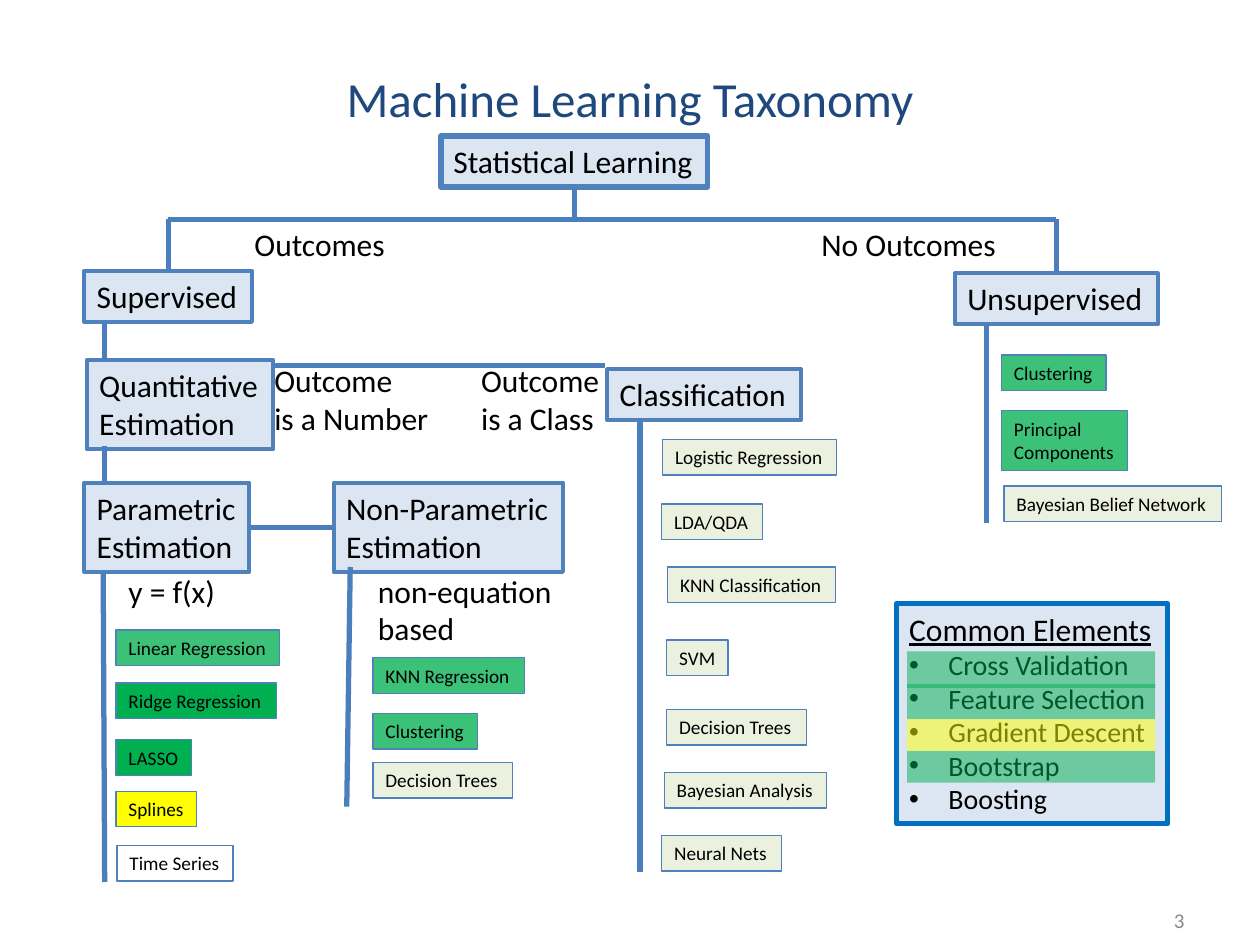
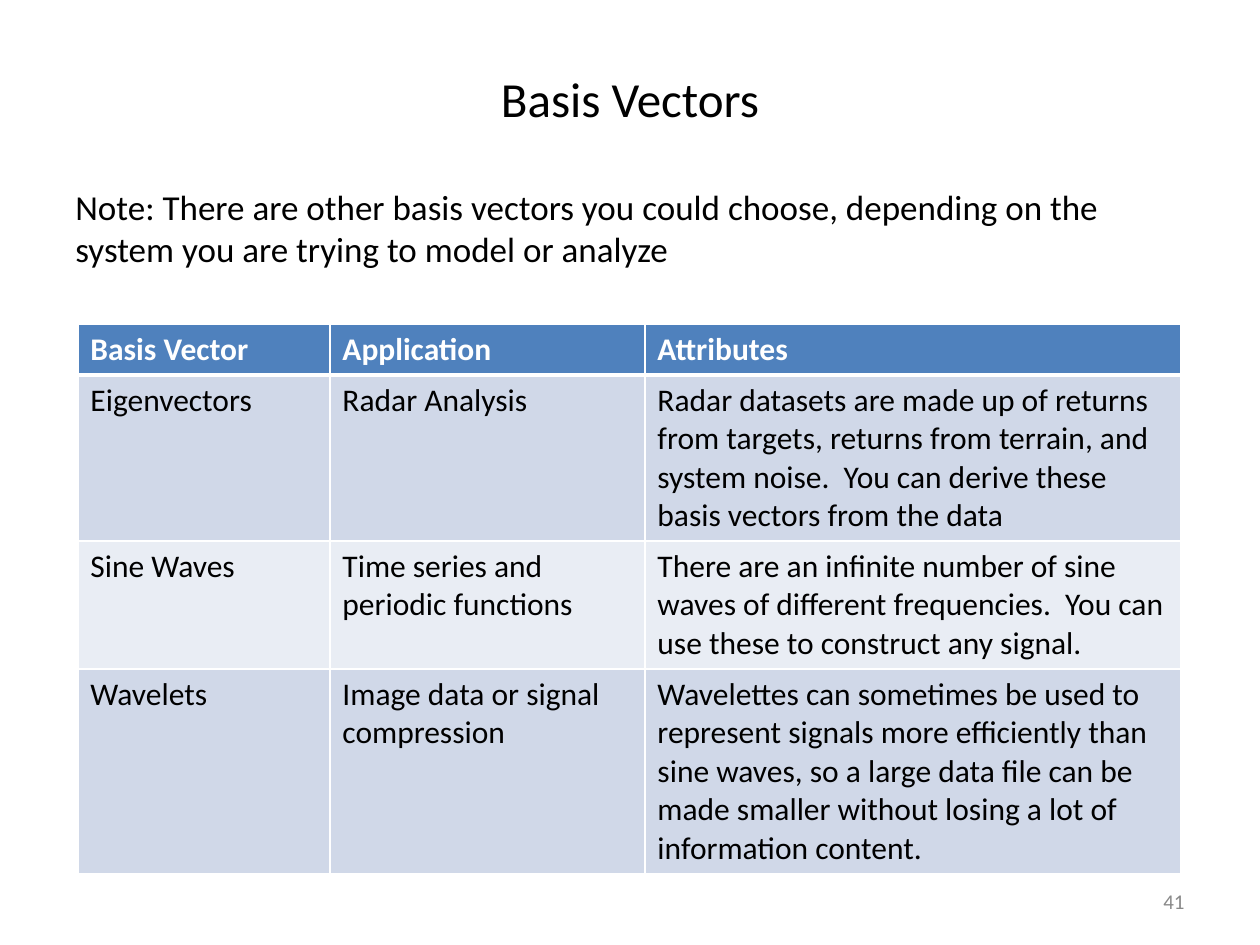
import pptx
import pptx.dml.color
import pptx.enum.shapes
import pptx.enum.text
import pptx.oxml
import pptx.oxml.ns
import pptx.util
from lxml import etree
from pptx.util import Cm, Pt

FONT = "Calibri"
BLACK = "000000"
WHITE = "FFFFFF"
NAVY = "1F497D"
GRAY = "898989"
BLUE = "4F81BD"
BRANCH_BLUE = "4B7EBC"
FRAME_BLUE = "0070C0"
PALE_BLUE = "DCE6F2"
PALE_GREEN = "EBF1DE"
GREEN = "00B050"
YELLOW = "FFFF00"
ROW_DARK = "D0D8E8"
ROW_LIGHT = "E9EDF4"

MIDDLE = pptx.enum.text.MSO_ANCHOR.MIDDLE
TOP = pptx.enum.text.MSO_ANCHOR.TOP
LEFT = pptx.enum.text.PP_ALIGN.LEFT
CENTER = pptx.enum.text.PP_ALIGN.CENTER
RIGHT = pptx.enum.text.PP_ALIGN.RIGHT
FIT_TEXT = pptx.enum.text.MSO_AUTO_SIZE.SHAPE_TO_FIT_TEXT

# Left, top, width in cm, and text
GROUPS = {
    "statistical": (8.89, 2.74, 5.38, "Statistical Learning"),
    "supervised": (1.7, 5.46, 3.38, "Supervised"),
    "unsupervised": (19.25, 5.51, 4.09, "Unsupervised"),
    "quantitative": (1.75, 7.26, 3.76, "Quantitative\nEstimation"),
    "classification": (12.24, 7.44, 3.91, "Classification"),
    "parametric": (1.7, 9.73, 3.33, "Parametric\nEstimation"),
    "non_parametric": (6.73, 9.73, 4.62, "Non-Parametric\nEstimation"),
}
LABELS = [
    (4.88, 4.42, 3.18, "Outcomes"),
    (16.31, 4.42, 4.06, "No Outcomes"),
    (5.28, 7.16, 3.66, "Outcome\nis a Number"),
    (9.45, 7.16, 2.92, "Outcome\nis a Class"),
    (2.34, 11.4, 2.29, "y = f(x)"),
    (7.37, 11.4, 4.06, "non-equation\nbased"),
]
# Left, top, width in cm, text, fill, opacity in percent
METHODS = [
    (2.34, 12.7, 3.3, "Linear Regression", GREEN, 77),
    (2.34, 13.77, 3.23, "Ridge Regression", GREEN, 100),
    (2.34, 14.91, 1.52, "LASSO", GREEN, 100),
    (2.34, 15.95, 1.63, "Splines", YELLOW, 100),
    (2.36, 17.04, 2.34, "Time Series", None, 100),
    (7.52, 13.26, 3.05, "KNN Regression", GREEN, 77),
    (7.52, 14.38, 2.11, "Clustering", GREEN, 77),
    (7.52, 15.37, 2.82, "Decision Trees", PALE_GREEN, 100),
    (13.36, 8.86, 3.51, "Logistic Regression", PALE_GREEN, 100),
    (13.34, 10.16, 2.03, "LDA/QDA", PALE_GREEN, 100),
    (13.46, 11.43, 3.38, "KNN Classification", PALE_GREEN, 100),
    (13.44, 12.9, 1.24, "SVM", PALE_GREEN, 100),
    (13.44, 14.3, 2.82, "Decision Trees", PALE_GREEN, 100),
    (13.39, 15.57, 3.28, "Bayesian Analysis", PALE_GREEN, 100),
    (13.34, 16.84, 2.41, "Neural Nets", PALE_GREEN, 100),
    (20.19, 7.16, 2.11, "Clustering", GREEN, 77),
    (20.19, 8.28, 2.54, "Principal\nComponents", GREEN, 77),
    (20.24, 9.8, 4.39, "Bayesian Belief Network", PALE_GREEN, 100),
]
# Start x, start y, end x, end y in cm
TRUNKS = [
    (2.11, 6.53, 2.11, 7.26),
    (12.19, 7.37, 5.51, 7.37),
    (2.11, 8.99, 2.11, 9.7),
    (2.08, 11.53, 2.11, 17.78),
    (7.06, 11.43, 6.99, 16.26),
    (12.9, 8.46, 12.9, 17.58),
    (19.89, 6.53, 19.89, 10.54),
]
COMMON_ELEMENTS = ["Cross Validation", "Feature Selection", "Gradient Descent",
                   "Bootstrap", "Boosting"]
# Top and height in cm, and colour
HIGHLIGHTS = [
    (13.13, 0.74, GREEN),
    (15.14, 0.64, GREEN),
    (13.79, 0.71, GREEN),
    (14.5, 0.64, YELLOW),
]
BASIS_ROWS = [
    ("Basis Vector", "Application", "Attributes"),
    ("Eigenvectors", "Radar Analysis",
     "Radar datasets are made up of returns from targets, returns from terrain, "
     "and system noise.  You can derive these basis vectors from the data"),
    ("Sine Waves", "Time series and periodic functions",
     "There are an infinite number of sine waves of different frequencies.  "
     "You can use these to construct any signal."),
    ("Wavelets", "Image data or signal compression",
     "Wavelettes can sometimes be used to represent signals more efficiently than "
     "sine waves, so a large data file can be made smaller without losing a lot of "
     "information content."),
]
BASIS_ROW_LINES = [1, 4, 3, 5]
BASIS_COLUMN_WIDTHS = [5.08, 6.35, 10.8]


def color(code):
    return pptx.dml.color.RGBColor.from_string(code)


def text_height(lines, size):
    """Height in cm of a box with this many lines and default margins."""
    return round(0.25 + lines * size * 0.0431, 2)


def set_font(paragraph, size, code=BLACK, bold=False):
    font = paragraph.font
    font.name = FONT
    font.size = Pt(size)
    font.bold = bold
    font.color.rgb = color(code)


def write(frame, text, size, code=BLACK, align=LEFT, anchor=TOP, wrap=True):
    """Fill a text frame, one paragraph for each line of text."""
    frame.word_wrap = wrap
    frame.vertical_anchor = anchor
    if not wrap:
        frame.auto_size = FIT_TEXT
    frame.text = text
    for paragraph in frame.paragraphs:
        paragraph.alignment = align
        set_font(paragraph, size, code)


def add_text(page, left, top, width, height, text, size, **style):
    box = page.shapes.add_textbox(Cm(left), Cm(top), Cm(width), Cm(height))
    write(box.text_frame, text, size, **style)


def add_title(page, text, code):
    add_text(page, 1.27, 0.76, 22.86, 2.41, text, 28, code=code,
             align=CENTER, anchor=MIDDLE)


def add_page_number(page, number, top):
    add_text(page, 18.2, top, 5.93, 1.02, number, 12, code=GRAY,
             align=RIGHT, anchor=MIDDLE)


def add_rectangle(page, left, top, width, height, fill, opacity=100,
                  line=None, line_width=0.75):
    box = page.shapes.add_shape(pptx.enum.shapes.MSO_SHAPE.RECTANGLE,
                                Cm(left), Cm(top), Cm(width), Cm(height))
    box.shadow.inherit = False
    if fill:
        box.fill.solid()
        box.fill.fore_color.rgb = color(fill)
    else:
        box.fill.background()
    if opacity < 100:
        fill_color = box.element.spPr.find(".//" + pptx.oxml.ns.qn("a:srgbClr"))
        etree.SubElement(fill_color, pptx.oxml.ns.qn("a:alpha"), val=str(opacity * 1000))
    if line:
        box.line.color.rgb = color(line)
        box.line.width = Pt(line_width)
    else:
        box.line.fill.background()
    return box


def add_text_rectangle(page, left, top, width, text, size, fill, opacity=100,
                       line_width=0.75):
    height = text_height(len(text.split("\n")), size)
    box = add_rectangle(page, left, top, width, height, fill, opacity, BLUE, line_width)
    write(box.text_frame, text, size, wrap=False)
    return box


def add_branch(page, start, end):
    """Draw a line; each end is a point (x, y) or a pair (box, side number)."""
    branch = page.shapes.add_connector(pptx.enum.shapes.MSO_CONNECTOR.STRAIGHT, 0, 0, 0, 0)
    if isinstance(start[0], pptx.util.Length):
        branch.begin_x, branch.begin_y = start
    else:
        branch.begin_connect(*start)
    if isinstance(end[0], pptx.util.Length):
        branch.end_x, branch.end_y = end
    else:
        branch.end_connect(*end)
    branch.line.color.rgb = color(BRANCH_BLUE)
    branch.line.width = Pt(3)
    etree.SubElement(branch.element.spPr, pptx.oxml.ns.qn("a:effectLst"))


def middle_x(box):
    return pptx.util.Emu(box.left + box.width // 2)


def add_bullet(paragraph):
    properties = paragraph._p.get_or_add_pPr()
    properties.set("marL", str(Cm(0.79)))
    properties.set("indent", str(-Cm(0.79)))
    etree.SubElement(properties, pptx.oxml.ns.qn("a:buFont"), typeface="Arial")
    etree.SubElement(properties, pptx.oxml.ns.qn("a:buChar"), char="•")


def add_common_elements(page):
    box = add_rectangle(page, 18.08, 12.17, 5.46, 4.44, PALE_BLUE,
                        line=FRAME_BLUE, line_width=3)
    write(box.text_frame, "Common Elements", 18, wrap=False)
    box.text_frame.paragraphs[0].font.underline = True
    for element in COMMON_ELEMENTS:
        paragraph = box.text_frame.add_paragraph()
        paragraph.text = element
        paragraph.alignment = LEFT
        add_bullet(paragraph)
        set_font(paragraph, 16)
    for top, height, fill in HIGHLIGHTS:
        add_rectangle(page, 18.29, top, 5, height, fill, opacity=50)


def set_borders(cell, top_width, bottom_width):
    """Give a cell white borders, 1 pt at the left and right."""
    widths = {"L": 1, "R": 1, "T": top_width, "B": bottom_width}
    properties = cell._tc.get_or_add_tcPr()
    for position, (side, width) in enumerate(widths.items()):
        properties.insert(position, pptx.oxml.parse_xml(
            f'<a:ln{side} {pptx.oxml.ns.nsdecls("a")} w="{Pt(width)}"><a:solidFill>'
            f'<a:srgbClr val="{WHITE}"/></a:solidFill></a:ln{side}>'))


def add_basis_table(page):
    heights = [text_height(lines, 18) for lines in BASIS_ROW_LINES]
    frame = page.shapes.add_table(len(heights), len(BASIS_COLUMN_WIDTHS), Cm(1.57), Cm(6.53),
                                  Cm(sum(BASIS_COLUMN_WIDTHS)), Cm(sum(heights)))
    table = frame.table
    for column, width in zip(table.columns, BASIS_COLUMN_WIDTHS):
        column.width = Cm(width)
    for index, (row, height, texts) in enumerate(zip(table.rows, heights, BASIS_ROWS)):
        row.height = Cm(height)
        header = index == 0
        fill = BLUE if header else ROW_DARK if index % 2 else ROW_LIGHT
        for cell, text in zip(row.cells, texts):
            cell.text = text
            set_font(cell.text_frame.paragraphs[0], 18, WHITE if header else BLACK, header)
            cell.fill.solid()
            cell.fill.fore_color.rgb = color(fill)
            set_borders(cell, 3 if index == 1 else 1, 3 if header else 1)


def build_taxonomy(page):
    add_title(page, "Machine Learning Taxonomy", NAVY)
    add_page_number(page, "3", 18.03)
    groups = {}
    for name, (left, top, width, text) in GROUPS.items():
        groups[name] = add_text_rectangle(page, left, top, width, text, 18, PALE_BLUE,
                                          line_width=3 if name == "statistical" else 2.25)

    bar_y = Cm(4.42)
    root, supervised, unsupervised = (
        groups[name] for name in ("statistical", "supervised", "unsupervised"))
    add_branch(page, (root, 2), (middle_x(root), bar_y))
    add_branch(page, (middle_x(supervised), bar_y), (middle_x(unsupervised), bar_y))
    for box in (supervised, unsupervised):
        add_branch(page, (middle_x(box), bar_y), (box, 0))
    add_branch(page, (groups["parametric"], 3), (groups["non_parametric"], 1))
    for x1, y1, x2, y2 in TRUNKS:
        add_branch(page, (Cm(x1), Cm(y1)), (Cm(x2), Cm(y2)))

    for left, top, width, text in LABELS:
        height = text_height(len(text.split("\n")), 18)
        add_text(page, left, top, width, height, text, 18, wrap=False)
    for left, top, width, text, fill, opacity in METHODS:
        add_text_rectangle(page, left, top, width, text, 11, fill, opacity)
    add_common_elements(page)


def build_basis_vectors(page):
    add_title(page, "Basis Vectors", BLACK)
    add_page_number(page, "41", 17.65)
    add_text(page, 1.27, 3.61, 22.86, 2,
             "Note: There are other basis vectors you could choose, depending on the "
             "system you are trying to model or analyze", 20)
    add_basis_table(page)


def main():
    deck = pptx.Presentation()
    deck.slide_width = Cm(25.4)
    deck.slide_height = Cm(19.05)
    blank = deck.slide_layouts[6]
    for build in (build_taxonomy, build_basis_vectors):
        build(deck.slides.add_slide(blank))
    deck.save("out.pptx")


if __name__ == "__main__":
    main()
